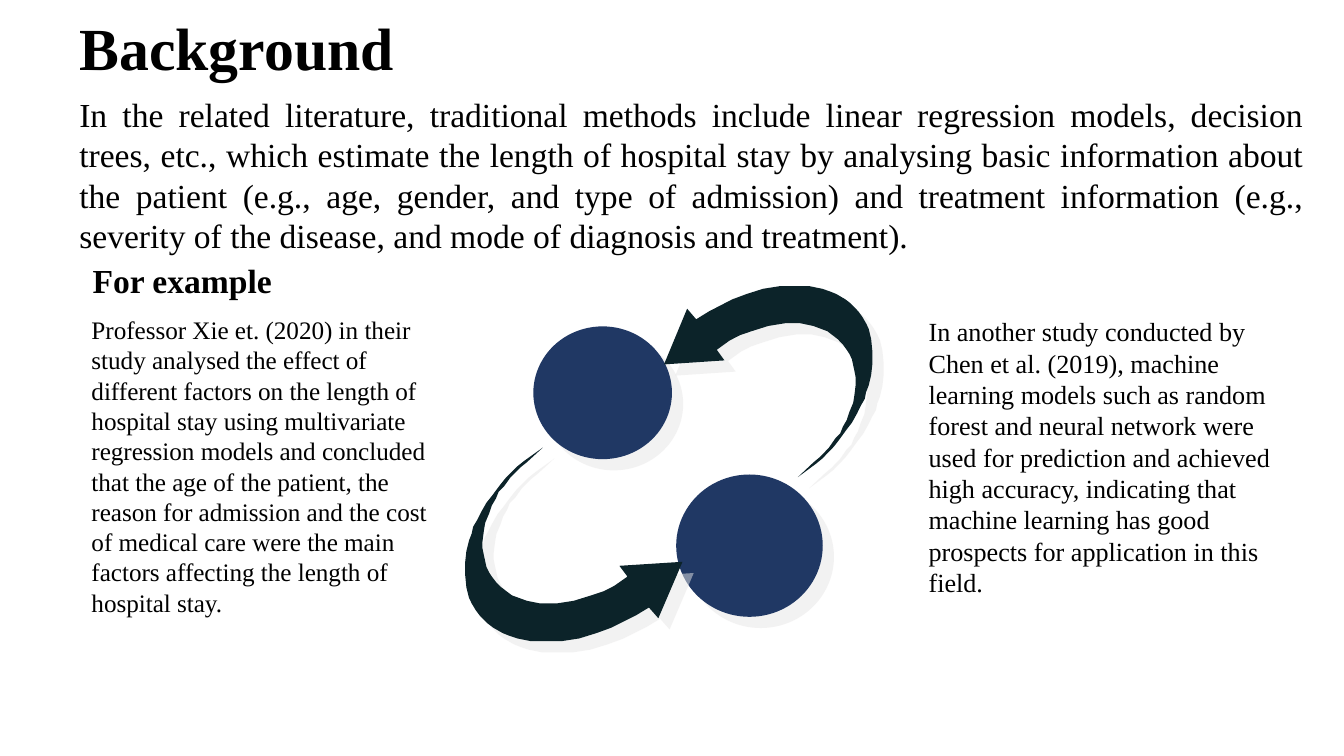
from dataclasses import dataclass

from lxml.etree import SubElement
from pptx import Presentation
from pptx.dml.color import RGBColor
from pptx.enum.shapes import MSO_SHAPE
from pptx.enum.text import MSO_ANCHOR, MSO_AUTO_SIZE, PP_ALIGN
from pptx.oxml.ns import qn
from pptx.util import Cm, Pt

FONT = "Times New Roman"
COLORS = {"text": "000000", "circle": "203864", "arrow": "0C2329", "shadow": "E7E6E6"}


@dataclass
class Box:
    left: float
    top: float
    width: float
    height: float

    def emu(self) -> tuple:
        return Cm(self.left), Cm(self.top), Cm(self.width), Cm(self.height)


@dataclass
class TextBlock:
    box: Box
    text: str
    size: float
    bold: bool = False
    align: PP_ALIGN = PP_ALIGN.LEFT


@dataclass
class Arrow:
    box: Box
    turned: bool = False  # half a turn


TITLE = TextBlock(Box(1.25, 0.23, 21.9, 1.95), "Background", 32, bold=True)

BLOCKS = [
    TextBlock(
        Box(1.25, 1.65, 23.65, 3.25),
        "In the related literature, traditional methods include linear regression models, "
        "decision trees, etc., which estimate the length of hospital stay by analysing basic "
        "information about the patient (e.g., age, gender, and type of admission) and treatment "
        "information (e.g., severity of the disease, and mode of diagnosis and treatment).",
        18, align=PP_ALIGN.JUSTIFY),
    TextBlock(
        Box(1.48, 5.82, 6.84, 6.02),
        "Professor Xie et. (2020) in their study analysed the effect of different factors on the "
        "length of hospital stay using multivariate regression models and concluded that the age "
        "of the patient, the reason for admission and the cost of medical care were the main "
        "factors affecting the length of hospital stay.",
        13.5),
    TextBlock(Box(1.5, 4.78, 6.45, 1.02), "For example", 18, bold=True),
    TextBlock(
        Box(17.3, 5.84, 7.16, 5.64),
        "In another study conducted by Chen et al. (2019), machine learning models such as random "
        "forest and neural network were used for prediction and achieved high accuracy, "
        "indicating that machine learning has good prospects for application in this field.",
        14),
]

CIRCLES = [Box(10.08, 6.17, 2.62, 2.51), Box(12.78, 8.97, 2.77, 2.69)]
ARROWS = [Arrow(Box(8.79, 8.46, 4.11, 3.66)), Arrow(Box(12.55, 5.41, 3.94, 3.61), turned=True)]

# Curved arrow on a 162 x 144 grid: outer edge, head, inner edge
GRID = (162, 144)
OUTLINE = [
    (58, 0), (44, 10), (39, 14), (34, 19), (30, 23), (26, 28), (23, 32), (20, 36), (16, 41),
    (12, 48), (9, 54), (6, 59), (5, 64), (3, 69), (1, 77), (0, 86), (0, 94), (1, 104),
    (3, 112), (5, 116), (8, 121), (11, 125), (14, 128), (17, 131), (21, 134), (28, 138),
    (33, 140), (39, 142), (49, 144), (60, 144), (72, 144), (85, 142), (98, 138), (109, 134),
    (119, 129), (127, 125), (137, 119),
    (144, 127), (162, 85), (115, 88), (121, 96),
    (111, 103), (103, 107), (94, 110), (81, 114), (68, 116), (56, 116), (46, 114), (35, 110),
    (27, 104), (23, 100), (20, 96), (18, 93), (16, 89), (14, 80), (13, 75), (13, 70), (14, 62),
    (15, 56), (18, 49), (20, 43), (23, 38), (25, 33), (29, 29), (34, 22), (41, 15), (46, 11),
]


def style_shape(sp, color: str) -> None:
    """Fill a shape, drop its line and give it a soft offset shadow."""
    sp.fill.solid()
    sp.fill.fore_color.rgb = RGBColor.from_string(COLORS[color])
    sp.line.fill.background()
    sp.shadow.inherit = False
    effects = sp.element.spPr.find(qn("a:effectLst"))
    shadow = SubElement(effects, qn("a:outerShdw"), blurRad="0", dist=str(Pt(8.5)),
                        dir="2700000", algn="tl", rotWithShape="0")
    tint = SubElement(shadow, qn("a:srgbClr"), val=COLORS["shadow"])
    SubElement(tint, qn("a:alpha"), val="50000")


def add_arrow(s, arrow: Arrow) -> None:
    left, top, width, height = arrow.box.emu()
    points = []
    for x, y in OUTLINE:
        u, v = x / GRID[0], y / GRID[1]
        if arrow.turned:
            u, v = 1 - u, 1 - v
        points.append((round(left + u * width), round(top + v * height)))
    builder = s.shapes.build_freeform(*points[0], scale=1.0)
    builder.add_line_segments(points[1:], close=True)
    style_shape(builder.convert_to_shape(), "arrow")


def write_text(sp, block: TextBlock, spacing) -> None:
    sp.left, sp.top, sp.width, sp.height = block.box.emu()
    tf = sp.text_frame
    frame_format = {"word_wrap": True, "auto_size": MSO_AUTO_SIZE.NONE,
                    "vertical_anchor": MSO_ANCHOR.TOP}
    for name, value in frame_format.items():
        setattr(tf, name, value)
    p = tf.paragraphs[0]
    p.alignment, p.line_spacing = block.align, spacing
    r = p.add_run()
    r.text = block.text
    for name, value in {"name": FONT, "size": Pt(block.size), "bold": block.bold}.items():
        setattr(r.font, name, value)
    r.font.color.rgb = RGBColor.from_string(COLORS["text"])


def main() -> None:
    prs = Presentation()
    prs.slide_width, prs.slide_height = Cm(25.4), Cm(14.29)
    s = prs.slides.add_slide(prs.slide_layouts[5])

    # Title
    write_text(s.shapes.title, TITLE, 0.9)

    # Cycle diagram
    for circle in CIRCLES:
        style_shape(s.shapes.add_shape(MSO_SHAPE.OVAL, *circle.emu()), "circle")
    for arrow in ARROWS:
        add_arrow(s, arrow)

    # Introduction and the two studies
    for block in BLOCKS:
        write_text(s.shapes.add_textbox(*block.box.emu()), block, Pt(block.size * 1.2))

    prs.save("out.pptx")


if __name__ == "__main__":
    main()
